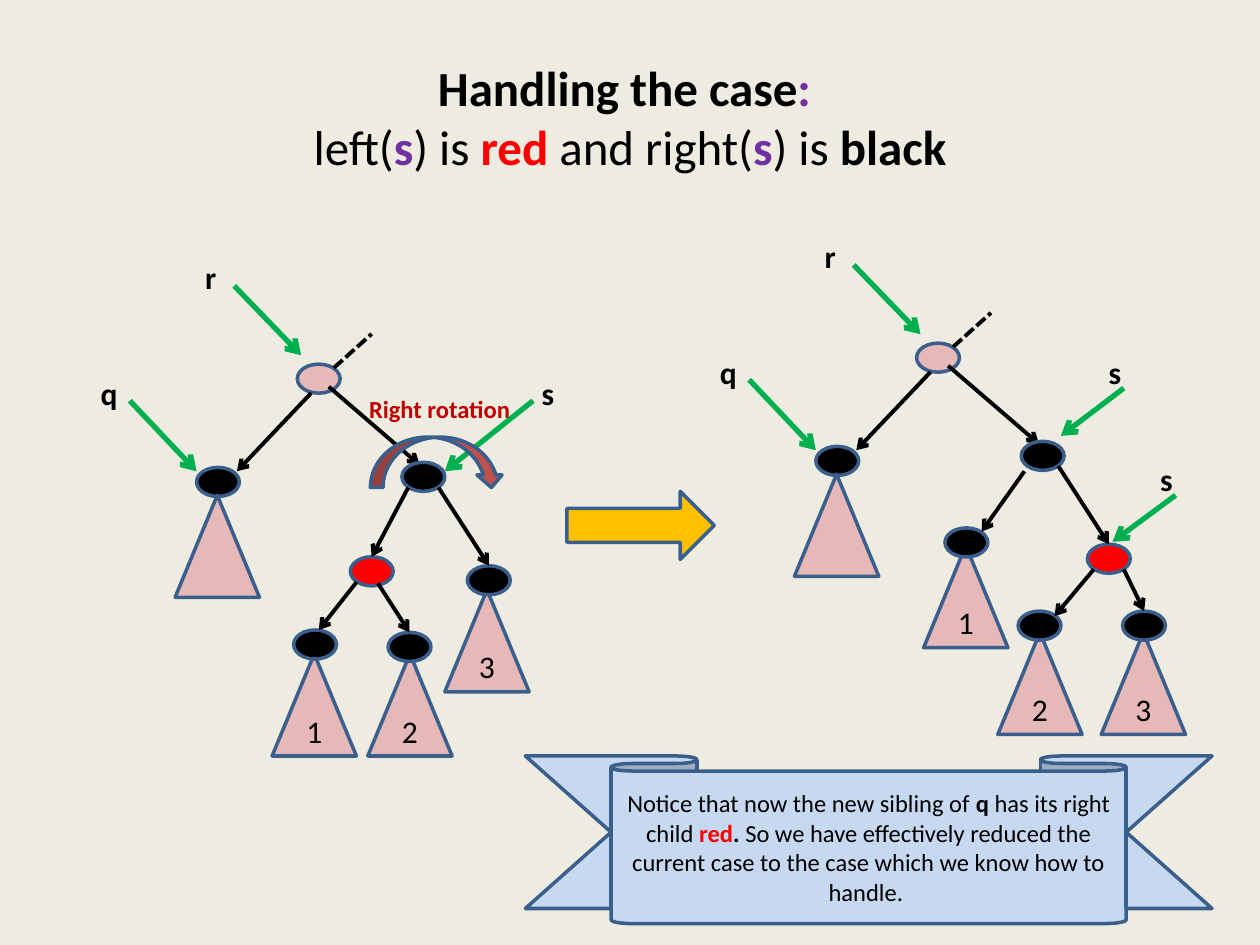
from dataclasses import dataclass

from lxml import etree
from pptx import Presentation
from pptx.dml.color import RGBColor
from pptx.enum.dml import MSO_LINE_DASH_STYLE as Dash
from pptx.enum.shapes import MSO_CONNECTOR, MSO_SHAPE as Shape
from pptx.enum.text import MSO_ANCHOR, MSO_AUTO_SIZE, PP_ALIGN
from pptx.oxml.ns import qn
from pptx.util import Pt

BLACK, RED, PURPLE, GREEN = "000000", "FF0000", "7030A0", "00B050"
PINK, OUTLINE = "E6B9B8", "3A5F8C"
NODE_W, NODE_H = 24.5, 16.6
TREE_W, TREE_H = 48.2, 58.3


@dataclass
class Node:
    x: float
    y: float
    fill: str = BLACK


@dataclass
class Subtree:
    x: float
    y: float
    name: str = ""


@dataclass
class Line:
    x1: float
    y1: float
    x2: float
    y2: float
    color: str = BLACK
    width: float = 2.25
    dashed: bool = False


@dataclass
class Label:
    x: float
    y: float
    text: str
    width: float = 22
    height: float = 28.8
    size: float = 18
    color: str = BLACK


@dataclass
class Run:
    text: str
    color: str = BLACK
    bold: bool = False


def rgb(value: str) -> RGBColor:
    return RGBColor.from_string(value)


def pointer(x1: float, y1: float, x2: float, y2: float) -> Line:
    return Line(x1, y1, x2, y2, GREEN, 3)


def write(p, runs: list[Run], size: float) -> None:
    """Append runs; a newline at the end of a run becomes a line break."""
    for run in runs:
        r = p.add_run()
        r.text = run.text.rstrip("\n")
        fmt = {"name": "Calibri", "size": Pt(size), "bold": run.bold}
        for key, value in fmt.items():
            setattr(r.font, key, value)
        r.font.color.rgb = rgb(run.color)
        if run.text.endswith("\n"):
            p.add_line_break()


def add_shape(s, kind, x: float, y: float, w: float, h: float, fill: str,
              runs: list[Run] = (), size: float = 18):
    sp = s.shapes.add_shape(kind, Pt(x), Pt(y), Pt(w), Pt(h))
    sp.shadow.inherit = False
    sp.fill.solid()
    sp.fill.fore_color.rgb = rgb(fill)
    sp.line.color.rgb = rgb(OUTLINE)
    sp.line.width = Pt(2)
    if runs:
        tf = sp.text_frame
        tf.vertical_anchor = MSO_ANCHOR.MIDDLE
        p = tf.paragraphs[0]
        p.alignment = PP_ALIGN.CENTER
        write(p, runs, size)
    return sp


def add_line(s, line: Line, dx: float, dy: float) -> None:
    ends = (line.x1 + dx, line.y1 + dy, line.x2 + dx, line.y2 + dy)
    cn = s.shapes.add_connector(MSO_CONNECTOR.STRAIGHT, *map(Pt, ends))
    cn.line.color.rgb = rgb(line.color)
    cn.line.width = Pt(line.width)
    if line.dashed:
        cn.line.dash_style = Dash.SQUARE_DOT
    else:
        etree.SubElement(cn.line._get_or_add_ln(), qn("a:tailEnd"), type="arrow")
    etree.SubElement(cn._element.spPr, qn("a:effectLst"))


def add_label(s, label: Label, dx: float, dy: float) -> None:
    box = (label.x + dx, label.y + dy, label.width, label.height)
    tf = s.shapes.add_textbox(*map(Pt, box)).text_frame
    tf.word_wrap = False
    tf.auto_size = MSO_AUTO_SIZE.SHAPE_TO_FIT_TEXT
    write(tf.paragraphs[0], [Run(label.text, label.color, True)], label.size)


def draw(s, items: list, dx: float = 0, dy: float = 0) -> None:
    for item in items:
        if isinstance(item, Node):
            add_shape(s, Shape.OVAL, item.x + dx, item.y + dy, NODE_W, NODE_H, item.fill)
        elif isinstance(item, Subtree):
            runs = [Run(item.name)] if item.name else []
            add_shape(s, Shape.ISOSCELES_TRIANGLE, item.x + dx, item.y + dy,
                      TREE_W, TREE_H, PINK, runs)
        elif isinstance(item, Line):
            add_line(s, item, dx, dy)
        else:
            add_label(s, item, dx, dy)


# Root r with children q and s, the same before and after the rotation
TOP = [
    Node(169.9, 208.1, PINK),
    Line(177.8, 224.6, 135.4, 269.3),
    Line(190.8, 210.2, 212.4, 190.8, dashed=True),
    Line(187.9, 221, 239.8, 265.7),
    Node(229.7, 264.2), Node(112.3, 267.1), Subtree(100.1, 283),
    pointer(74.2, 229, 112.3, 269.3), Label(50.4, 210.2, "q"),
    pointer(133.9, 163.4, 172.1, 203), Label(110.2, 144, "r"),
]
BEFORE = [
    Label(302.4, 210.2, "s"), pointer(304.6, 229, 254.2, 269.3),
    Subtree(254.2, 337, "3"), Subtree(155.5, 373.7, "1"), Subtree(210.2, 373.7, "2"),
    Node(267.1, 323.3), Node(200.2, 318.2, RED), Node(167.8, 360), Node(221.8, 361.4),
    Line(233.3, 278.6, 212.4, 318.2), Line(250.6, 278.6, 279.4, 323.3),
    Line(216, 333.4, 234, 361.4), Line(203.8, 332.6, 182.2, 360),
]
AFTER = [
    Subtree(629.3, 361.4, "3"), Subtree(527.8, 311.8, "1"), Subtree(570.2, 361.4, "2"),
    Node(621.4, 311, RED), Node(641.5, 349.2), Node(540, 301.7), Node(581.8, 349.2),
    Line(585.4, 269.3, 560.9, 303.8), Line(604.8, 266.4, 633.6, 311),
    Line(642.2, 325.4, 653.8, 349.2), Line(625, 325.4, 602.6, 352.1),
    Label(655.9, 259.2, "s"), pointer(671.8, 283, 635.8, 309.6),
    Label(626.4, 198, "s"), pointer(642.2, 221.8, 606.2, 249.1),
]
TITLE = [
    Run("Handling the case", bold=True), Run(": \n", PURPLE, True),
    Run("left("), Run("s", PURPLE, True), Run(") is "), Run("red ", RED, True),
    Run("and right("), Run("s", PURPLE, True), Run(") is "), Run("black", bold=True),
]
NOTICE = [
    Run("Notice that now the new sibling of "), Run("q", bold=True),
    Run(" has its right child "), Run("red", RED, True), Run(". ", bold=True),
    Run("So we have effectively reduced the current case to the case "
        "which we know how to handle. "),
]


def add_title(s) -> None:
    tf = s.shapes.add_textbox(Pt(36), Pt(21.6), Pt(648), Pt(90)).text_frame
    tf.word_wrap = True
    tf.vertical_anchor = MSO_ANCHOR.MIDDLE
    p = tf.paragraphs[0]
    p.alignment = PP_ALIGN.CENTER
    write(p, TITLE, 28)


def main() -> None:
    prs = Presentation()
    prs.slide_width, prs.slide_height = Pt(720), Pt(540)
    s = prs.slides.add_slide(prs.slide_layouts[6])
    s.background.fill.solid()
    s.background.fill.fore_color.rgb = rgb("EEECE1")

    add_title(s)
    draw(s, TOP + BEFORE)
    add_shape(s, Shape.RIGHT_ARROW, 324, 280.8, 84.2, 38.9, "FFC000")
    add_shape(s, Shape.CURVED_DOWN_ARROW, 211.7, 249.8, 76.3, 28.8, "C0504D")
    draw(s, [Label(203.8, 221.8, "Right rotation", 95.8, 24.5, 14, "C00000")])
    draw(s, TOP, 353.9, -12)
    draw(s, AFTER)
    ribbon = add_shape(s, Shape.DOWN_RIBBON, 300.2, 432, 392.4, 95.8, "C6D9F1", NOTICE, 14)
    ribbon.adjustments[0], ribbon.adjustments[1] = 0.09, 0.75
    prs.save("out.pptx")


if __name__ == "__main__":
    main()
